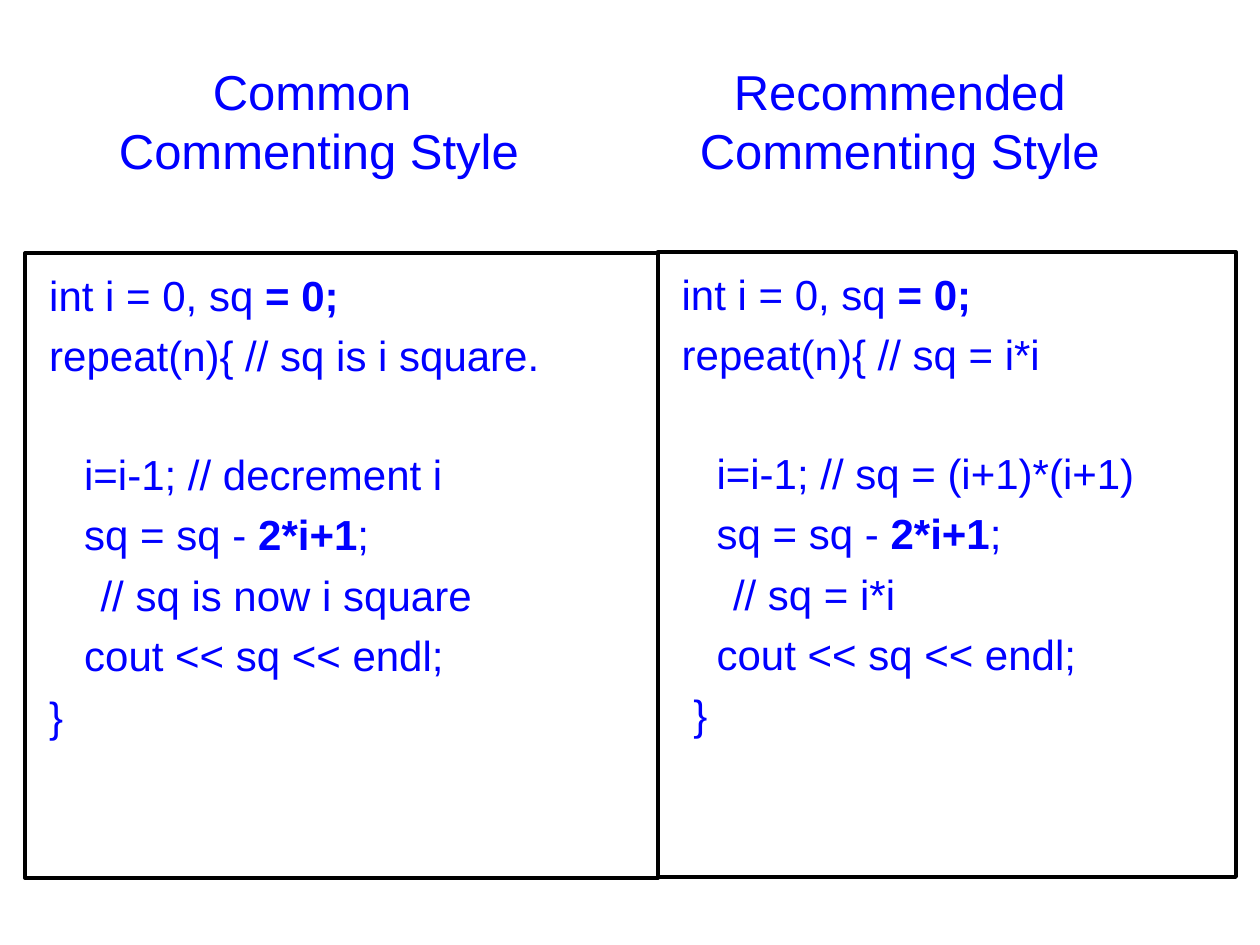
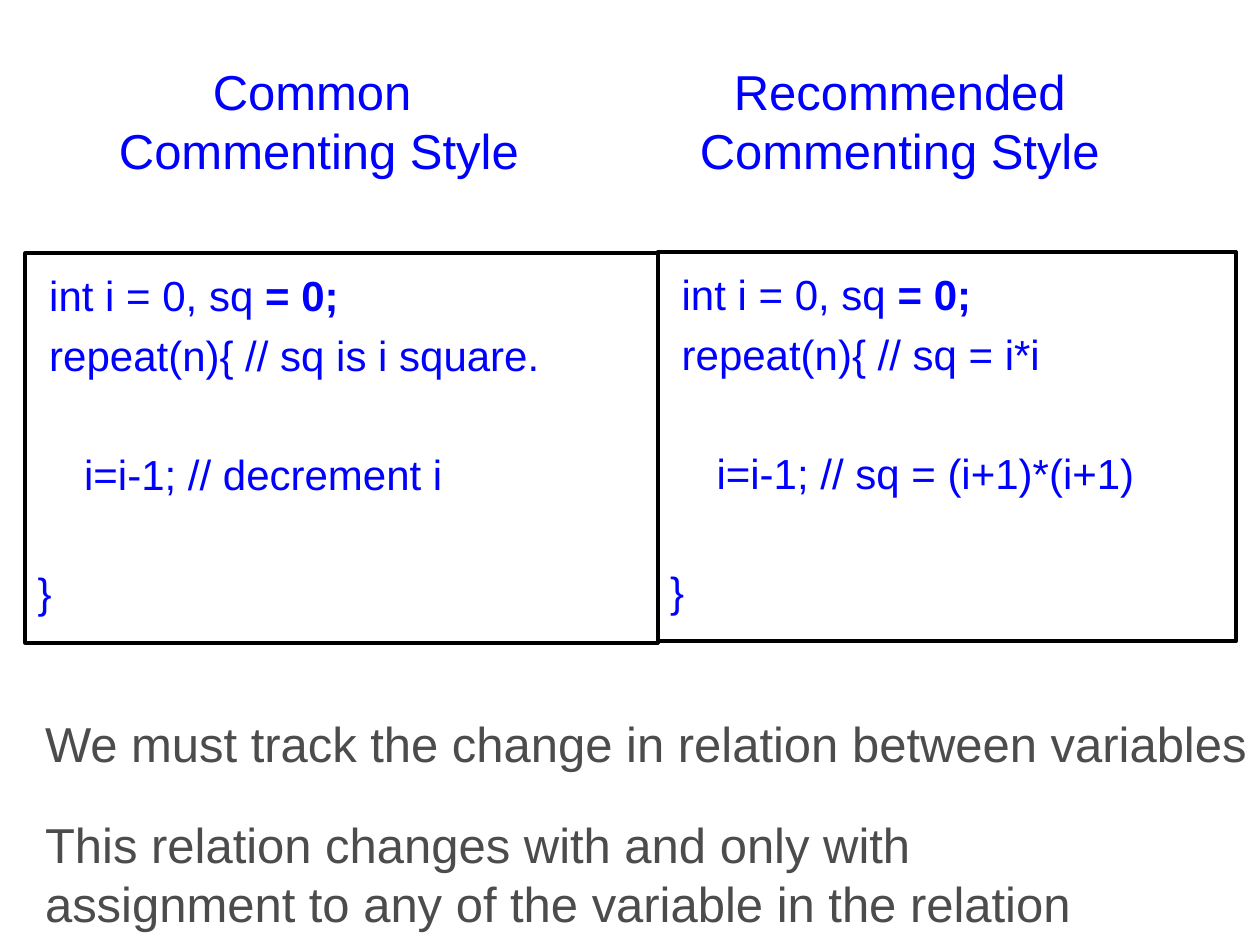
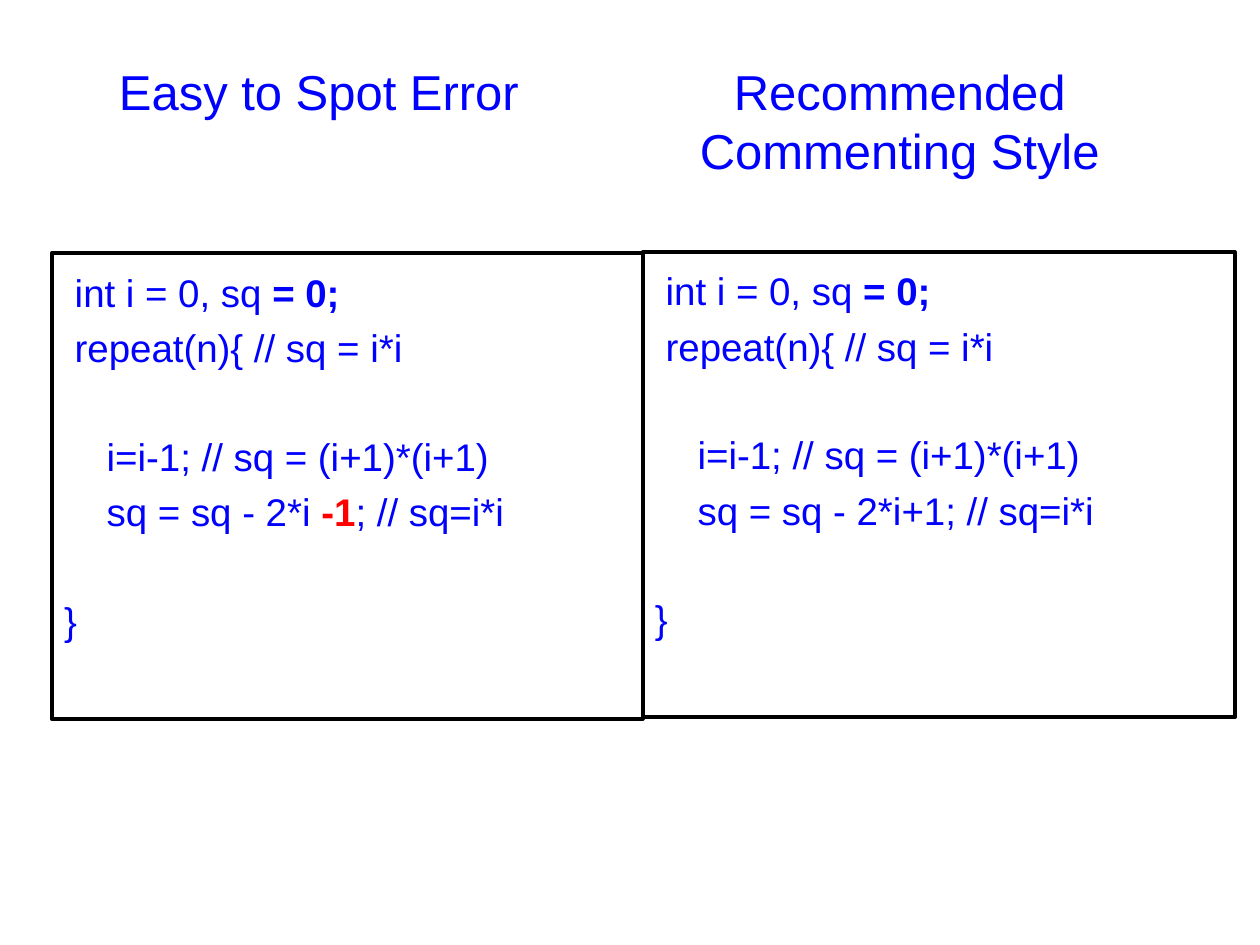
from dataclasses import dataclass
from lxml import etree
from pptx import Presentation
from pptx.dml.color import RGBColor
from pptx.enum.shapes import MSO_SHAPE
from pptx.enum.text import MSO_ANCHOR, MSO_AUTO_SIZE, PP_ALIGN
from pptx.oxml.ns import qn
from pptx.util import Pt

RECTANGLE = MSO_SHAPE.RECTANGLE
TOP = MSO_ANCHOR.TOP
FIT_SHAPE = MSO_AUTO_SIZE.SHAPE_TO_FIT_TEXT
LEFT, CENTER = PP_ALIGN.LEFT, PP_ALIGN.CENTER


@dataclass(frozen=True)
class Theme:
    font: str = "Arial"
    blue: RGBColor = RGBColor(0x00, 0x00, 0xFF)
    red: RGBColor = RGBColor(0xFF, 0x00, 0x00)
    gray: RGBColor = RGBColor(0x4C, 0x4C, 0x4C)
    border: RGBColor = RGBColor(0x00, 0x00, 0x00)
    heading_size: int = 28
    code_size: int = 24
    small_code_size: int = 22
    code_spacing: float = 1.2
    code_line_height: float = 1.38
    border_width: float = 2.25
    tab: float = 36


THEME = Theme()


def set_frame(frame, wrap=True):
    frame.word_wrap = wrap
    frame.vertical_anchor = TOP
    frame.margin_left = frame.margin_right = Pt(7.2)
    frame.margin_top = frame.margin_bottom = Pt(3.6)


def write_lines(frame, lines, size, color, align=LEFT, spacing=1.0):
    gap = 0
    paragraph = frame.paragraphs[0]
    for number, line in enumerate(lines):
        if not line:
            gap += size * THEME.code_line_height
            continue
        if number:
            paragraph = frame.add_paragraph()
        if line[0][0].startswith("\t"):
            tabs = etree.SubElement(paragraph._p.get_or_add_pPr(), qn("a:tabLst"))
            etree.SubElement(tabs, qn("a:tab"), pos=str(Pt(THEME.tab)), algn="l")
        paragraph.alignment = align
        paragraph.line_spacing = spacing
        paragraph.space_before = Pt(round(gap, 1))
        gap = 0
        for text, *emphasis in line:
            run = paragraph.add_run()
            run.text = text
            run.font.name = THEME.font
            run.font.size = Pt(size)
            run.font.bold = bool(emphasis)
            run.font.color.rgb = emphasis[0] if emphasis else color


BLANK = []
declaration = [(" int i = 0, sq ",), ("= 0;", THEME.blue)]
vague_start = [declaration, [(" repeat(n){ // sq is i square.",)], BLANK,
               [("    i=i-1; // decrement i",)]]
precise_start = [declaration, [(" repeat(n){ // sq = i*i",)], BLANK,
                 [("    i=i-1; // sq = (i+1)*(i+1)",)]]
update = [("    sq = sq - ",), ("2*i+1", THEME.blue), (";",)]
output = [("    cout << sq << endl;",)]
wrong_update = [("    sq = sq - 2*i ",), ("-1", THEME.red), ("; // sq=i*i",)]
right_update = [("    sq = sq - 2*i+1; // sq=i*i",)]
ending = [BLANK, [("}",)]]

common = ["Common ", "Commenting Style"]
recommended = ["Recommended", "Commenting Style"]

comparisons = [
    {
        "headings": [common, recommended],
        "code": [
            vague_start + [update, [("\t// sq is now i square",)], output, [(" }",)]],
            precise_start + [update, [("\t// sq = i*i",)], output, [("  }",)]],
        ],
        "edges": [14.4, 375.8, 706.3], "height": 357.1,
        "code_size": THEME.code_size, "remarks": [],
    },
    {
        "headings": [common, recommended],
        "code": [vague_start + ending, precise_start + ending],
        "edges": [14.4, 375.8, 706.3], "height": 222.5,
        "code_size": THEME.code_size,
        "remarks": [
            (403.9, 701.3, ["We must track the change in relation between variables"]),
            (462.2, 600.5, ["This relation changes with and only with",
                            "assignment to any of the variable in the relation"]),
        ],
    },
    {
        "headings": [["Easy to Spot Error"], recommended],
        "code": [precise_start + [wrong_update] + ending,
                 precise_start + [right_update] + ending],
        "edges": [29.5, 367.2, 705.6], "height": 266,
        "code_size": THEME.small_code_size, "remarks": [],
    },
]

HEADING_LEFTS = [28.1, 360]
HEADING_TOP, HEADING_WIDTH = 31.7, 308.2
CODE_TOPS = [144.7, 144]
TEXT_HEIGHTS = {1: 41, 2: 74.9}

prs = Presentation()
prs.slide_width, prs.slide_height = Pt(720), Pt(540)
title_only = prs.slide_layouts[5]

for comparison in comparisons:
    slide = prs.slides.add_slide(title_only)

    for column, code in enumerate(comparison["code"]):
        left, right = comparison["edges"][column:column + 2]
        panel = slide.shapes.add_shape(RECTANGLE, Pt(left), Pt(CODE_TOPS[column]),
                                       Pt(right - left), Pt(comparison["height"]))
        panel.shadow.inherit = False
        panel.fill.background()
        panel.line.color.rgb = THEME.border
        panel.line.width = Pt(THEME.border_width)
        set_frame(panel.text_frame)
        write_lines(panel.text_frame, code, comparison["code_size"], THEME.blue,
                    spacing=THEME.code_spacing)

    for column, words in enumerate(comparison["headings"]):
        heading = slide.shapes.add_textbox(0, 0, 0, 0) if column else slide.shapes.title
        heading.left, heading.top = Pt(HEADING_LEFTS[column]), Pt(HEADING_TOP)
        heading.width, heading.height = Pt(HEADING_WIDTH), Pt(TEXT_HEIGHTS[len(words)])
        set_frame(heading.text_frame)
        heading.text_frame.auto_size = FIT_SHAPE
        write_lines(heading.text_frame, [[(text,)] for text in words],
                    THEME.heading_size, THEME.blue, CENTER)

    for top, width, words in comparison["remarks"]:
        remark = slide.shapes.add_textbox(Pt(18.7), Pt(top), Pt(width),
                                          Pt(TEXT_HEIGHTS[len(words)]))
        set_frame(remark.text_frame, wrap=False)
        remark.text_frame.auto_size = FIT_SHAPE
        write_lines(remark.text_frame, [[(text,)] for text in words],
                    THEME.heading_size, THEME.gray)

prs.save("out.pptx")
